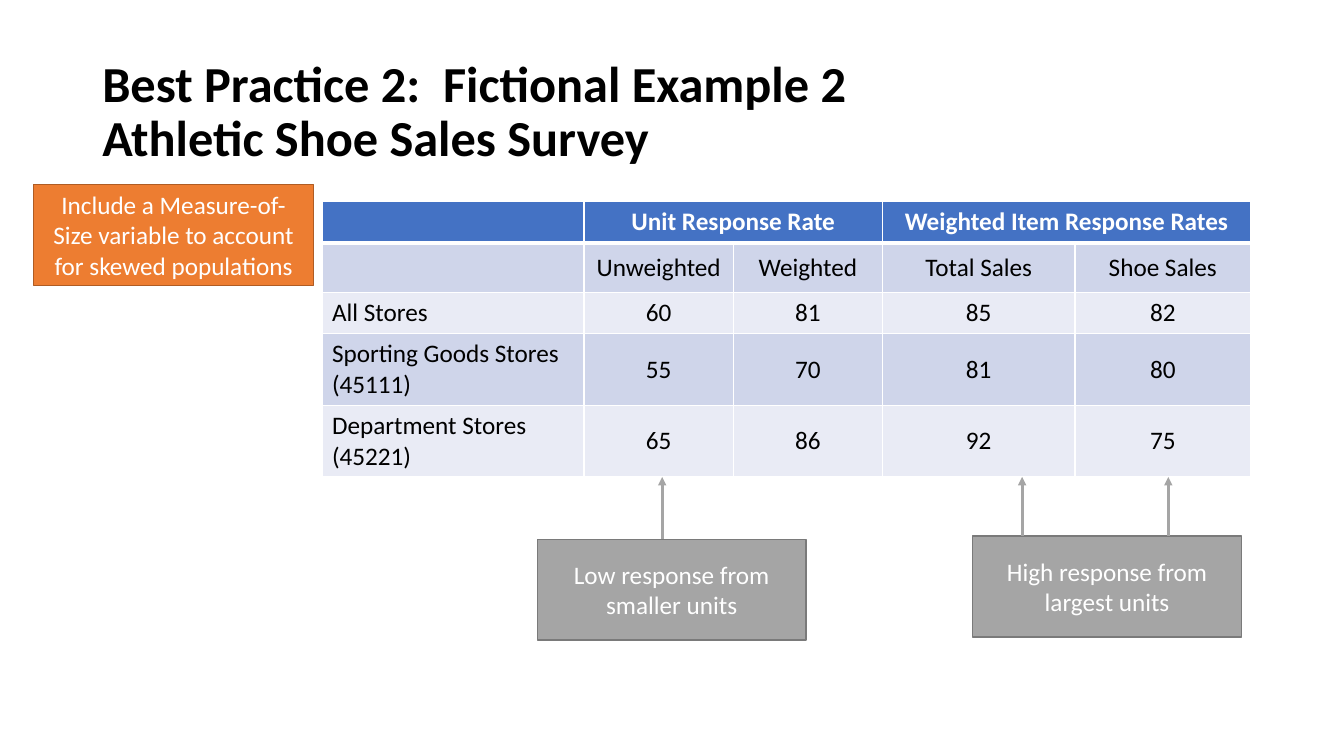
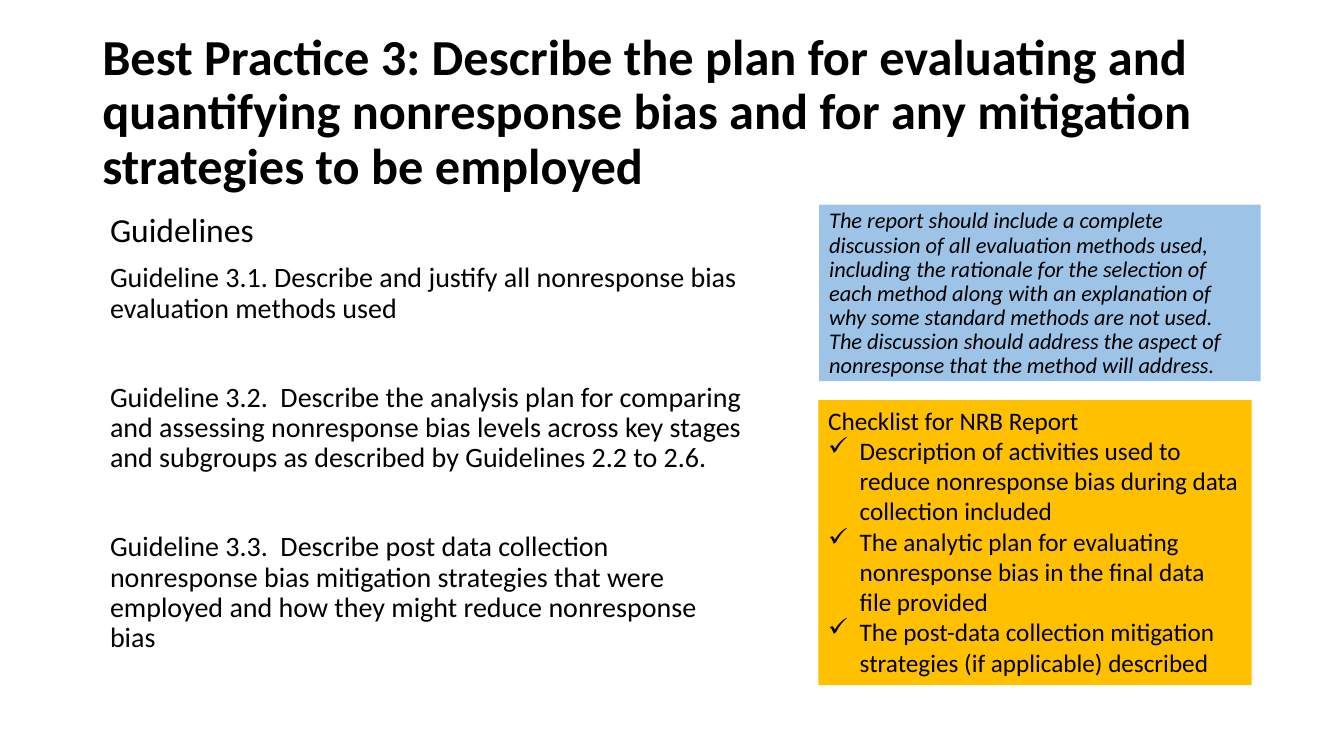
from pptx import Presentation
from pptx.util import Pt
from pptx.dml.color import RGBColor
from pptx.enum import shapes as sh, text as tx
from pptx.oxml import ns, xmlchemy as xc

BLACK = RGBColor(0x00, 0x00, 0x00)
WHITE = RGBColor(0xFF, 0xFF, 0xFF)
BLUE = RGBColor(0x44, 0x72, 0xC4)
MID = RGBColor(0xCF, 0xD5, 0xEA)
PALE = RGBColor(0xE9, 0xEB, 0xF5)
SKY = RGBColor(0x9D, 0xC3, 0xE6)
GOLD = RGBColor(0xFF, 0xC0, 0x00)
ORANGE = RGBColor(0xED, 0x7D, 0x31)
RUST = RGBColor(0xAF, 0x5C, 0x24)
GREY = RGBColor(0xA5, 0xA5, 0xA5)
SLATE = RGBColor(0x7A, 0x7A, 0x7A)
FONT = "Calibri"
CENTER = tx.PP_ALIGN.CENTER
LEFT = tx.PP_ALIGN.LEFT
MIDDLE = tx.MSO_ANCHOR.MIDDLE
TOP = tx.MSO_ANCHOR.TOP


def points(*nums):
    """Turn plain numbers into point lengths."""
    return [Pt(num) for num in nums]


def sub(parent, tag, **attrs):
    """Append an XML element with attributes."""
    node = xc.OxmlElement(tag)
    for key, val in attrs.items():
        node.set(key, str(val))
    parent.append(node)
    return node


def write(par, words, size, color=BLACK, bold=False, slant=False):
    """Add text to a paragraph, one run per line."""
    for num, line in enumerate(words.split("\n")):
        if num:
            par.add_line_break()
        run = par.add_run()
        run.text = line
        font = run.font
        font.name, font.size, font.bold, font.italic = FONT, Pt(size), bold, slant
        font.color.rgb = color


def next_par(frame, num):
    """Return the first paragraph, or a new one after it."""
    return frame.add_paragraph() if num else frame.paragraphs[0]


def text_box(slide, box, anchor=TOP):
    """Add a wrapping text box and return its frame."""
    frame = slide.shapes.add_textbox(*points(*box)).text_frame
    frame.word_wrap = True
    frame.vertical_anchor = anchor
    return frame


def panel(slide, box, fill, edge=None, anchor=TOP):
    """Add a filled rectangle and return its frame."""
    rect = slide.shapes.add_shape(sh.MSO_SHAPE.RECTANGLE, *points(*box))
    rect.shadow.inherit = False
    rect.fill.solid()
    rect.fill.fore_color.rgb = fill
    if edge is None:
        rect.line.fill.background()
    else:
        rect.line.color.rgb = edge
        rect.line.width = Pt(1)
    frame = rect.text_frame
    frame.word_wrap = True
    frame.vertical_anchor = anchor
    return frame


def title(slide, words):
    """Place the slide title."""
    par = text_box(slide, (66, 28.75, 828, 104.4), MIDDLE).paragraphs[0]
    par.line_spacing = 0.9
    write(par, words, 36, bold=True)


def arrow(slide, x, low, high):
    """Draw an upward arrow."""
    line = slide.shapes.add_connector(
        sh.MSO_CONNECTOR.STRAIGHT, *points(x, low, x, high))
    line.line.color.rgb = GREY
    line.line.width = Pt(2)
    sub(line.line._get_or_add_ln(), "a:tailEnd", type="triangle")
    sub(line._element.spPr, "a:effectLst")


def callout(slide, box, words, fill=GREY, edge=SLATE, tips=(), goal=0):
    """Place a centred note with arrows rising from its top edge."""
    par = panel(slide, box, fill, edge, MIDDLE).paragraphs[0]
    par.alignment = CENTER
    write(par, words, 18, WHITE)
    for tip in tips:
        arrow(slide, box[0] + tip, box[1], goal)


def border(cell, head, second):
    """Draw white cell borders, thick under the header."""
    props = cell._tc.get_or_add_tcPr()
    for side in "LRTB":
        thick = (head and side == "B") or (second and side == "T")
        line = sub(props, "a:ln" + side, w=Pt(3 if thick else 1))
        sub(sub(line, "a:solidFill"), "a:srgbClr", val=WHITE)


def rate_table(slide, x, y, cols, rows, data):
    """Place the response rate table."""
    frame = slide.shapes.add_table(
        len(rows), len(cols), *points(x, y, sum(cols), sum(rows)))
    table = frame.table
    table.horz_banding = False
    for col, width in zip(table.columns, cols):
        col.width = Pt(width)
    for row, height in zip(table.rows, rows):
        row.height = Pt(height)
    for r, line in enumerate(data):
        for c, words in enumerate(line):
            cell = table.cell(r, c)
            border(cell, r == 0, r == 1)
            cell.fill.solid()
            cell.fill.fore_color.rgb = BLUE if r == 0 else (PALE, MID)[r % 2]
            cell.vertical_anchor = MIDDLE if c else TOP
            if not words:
                continue
            for num, part in enumerate(words.split("\n")):
                par = next_par(cell.text_frame, num)
                par.alignment = CENTER if c else LEFT
                write(par, part, 18, BLACK if r else WHITE, bold=r == 0)
    for c in (1, 3):
        table.cell(0, c).merge(table.cell(0, c + 1))


def guides(slide, box, head, items):
    """Place the heading and its guidelines."""
    frame = text_box(slide, box)
    for num, words in enumerate([head] + items):
        par = next_par(frame, num)
        par.line_spacing = 0.9
        if num:
            par.space_before = Pt(10 if num == 1 else 42)
        write(par, words, 20 if num else 24)


def remark(slide, box, words):
    """Place the italic remark."""
    par = panel(slide, box, SKY).paragraphs[0]
    par.alignment = LEFT
    par.line_spacing = 0.9
    write(par, words, 16, slant=True)


def checks(slide, box, head, items):
    """Place the checklist with tick bullets."""
    frame = panel(slide, box, GOLD)
    for num, words in enumerate([head] + items):
        par = next_par(frame, num)
        par.alignment = LEFT
        if num:
            props = par._p.get_or_add_pPr()
            props.set("marL", str(Pt(22.5)))
            props.set("indent", str(-Pt(22.5)))
            sub(props, "a:buChar", char="✓")
        write(par, words, 18)


def sales_slide(slide):
    """Build the shoe sales example."""
    title(slide, "Best Practice 2:  Fictional Example 2\nAthletic Shoe Sales Survey")
    cols = (187.2, 106.6, 106.6, 137.5, 125.5)
    rows = (29.5, 35.3, 29.5, 51.2, 51.2)
    top = 144
    rate_table(slide, 230, top, cols, rows, [
        ("", "Unit Response Rate", "", "Weighted Item Response Rates", ""),
        ("", "Unweighted", "Weighted", "Total Sales", "Shoe Sales"),
        ("All Stores", "60", "81", "85", "82"),
        ("Sporting Goods Stores (45111)", "55", "70", "81", "80"),
        ("Department Stores\n(45221)", "65", "86", "92", "75"),
    ])
    goal = top + sum(rows)
    callout(slide, (24, 131.8, 200, 72),
            "Include a Measure-of-Size variable to account for skewed populations",
            ORANGE, RUST)
    callout(slide, (383.8, 385.2, 192, 72), "Low response from smaller units",
            tips=(89.2,), goal=goal)
    callout(slide, (694.8, 383, 192, 72), "High response from largest units",
            tips=(35.3, 139.7), goal=goal)


def plan_slide(slide):
    """Build the evaluation plan guidelines."""
    title(slide, "Best Practice 3: Describe the plan for evaluating and quantifying "
          "nonresponse bias and for any mitigation strategies to be employed")
    guides(slide, (71.5, 149, 467, 343), "Guidelines", [
        "Guideline 3.1. Describe and justify all nonresponse bias evaluation "
        "methods used",
        "Guideline 3.2.  Describe the analysis plan for comparing and assessing "
        "nonresponse bias levels across key stages and subgroups as described by "
        "Guidelines 2.2 to 2.6.",
        "Guideline 3.3.  Describe post data collection nonresponse bias mitigation "
        "strategies that were employed and how they might reduce nonresponse bias",
    ])
    remark(slide, (585.2, 146.2, 315.2, 126),
           "The report should include a complete discussion of all evaluation "
           "methods used, including the rationale for the selection of each method "
           "along with an explanation of why some standard methods are not used.  "
           "The discussion should address the aspect of nonresponse that the method "
           "will address.")
    checks(slide, (584.5, 285.8, 309.6, 203.6), "Checklist for NRB Report", [
        "Description of activities used to reduce nonresponse bias during data "
        "collection included",
        "The analytic plan for evaluating nonresponse bias in the final data file "
        "provided",
        "The post-data collection mitigation strategies (if applicable) described",
    ])


def main():
    """Build and save the deck."""
    deck = Presentation()
    deck.slide_width, deck.slide_height = points(960, 540)
    for build in (sales_slide, plan_slide):
        build(deck.slides.add_slide(deck.slide_layouts[6]))
    deck.save("out.pptx")


if __name__ == "__main__":
    main()
